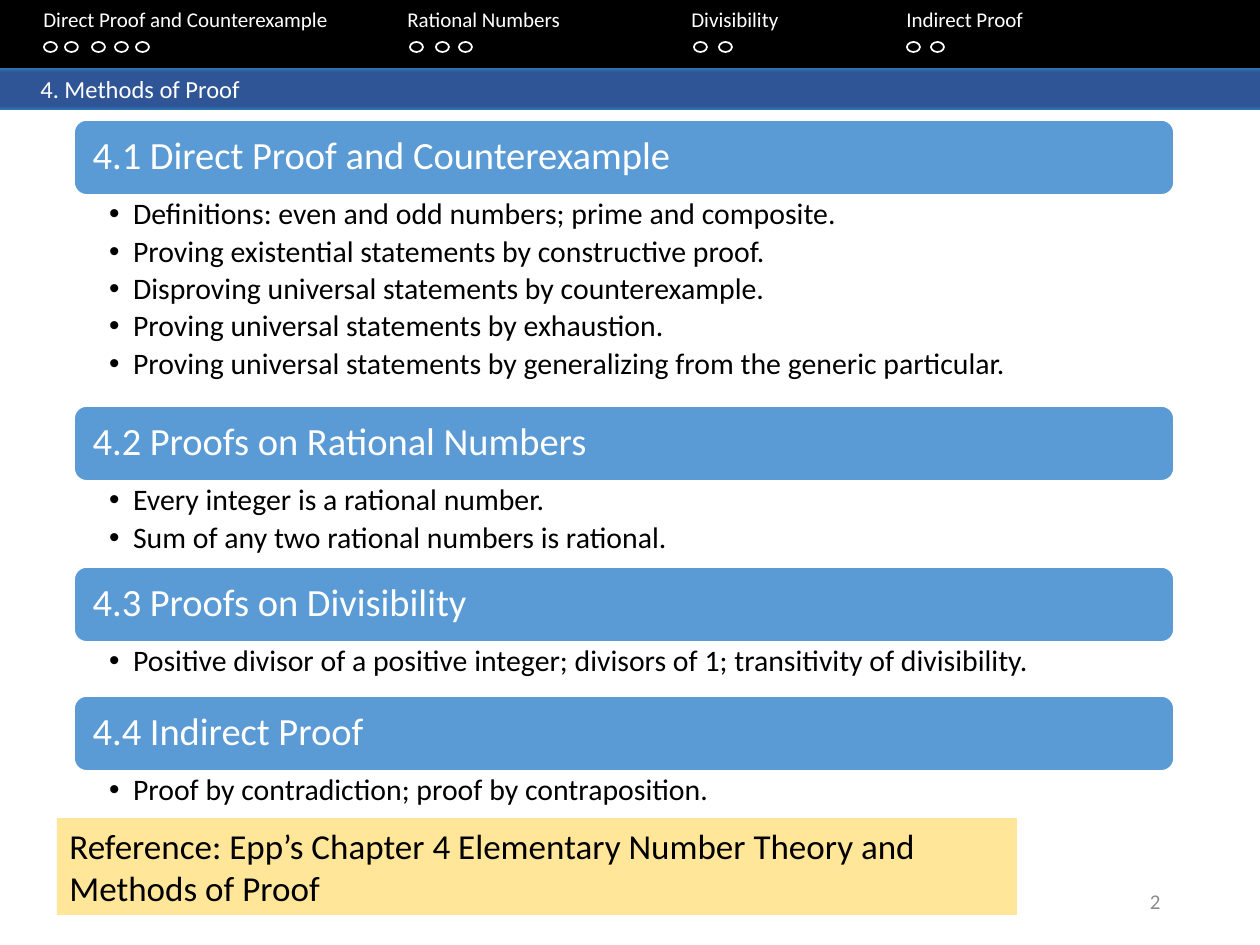
from copy import deepcopy
from dataclasses import dataclass
from typing import Optional

from lxml.etree import SubElement
from pptx import Presentation
from pptx.dml.color import RGBColor
from pptx.enum.shapes import MSO_SHAPE
from pptx.enum.text import MSO_ANCHOR, MSO_AUTO_SIZE, PP_ALIGN
from pptx.oxml.ns import qn
from pptx.util import Emu, Pt

EMU_PER_INCH = 914400
PX_PER_INCH = 126

BLACK = RGBColor(0x00, 0x00, 0x00)
WHITE = RGBColor(0xFF, 0xFF, 0xFF)
GRAY = RGBColor(0x8C, 0x8C, 0x8C)
HEADING_BLUE = RGBColor(0x5B, 0x9B, 0xD5)
EDGE_BLUE = RGBColor(0x2E, 0x75, 0xB6)
CORE_BLUE = RGBColor(0x2F, 0x55, 0x97)
REFERENCE_YELLOW = RGBColor(0xFF, 0xE6, 0x99)

FONT = "Calibri"
SLIDE_WIDTH, SLIDE_HEIGHT = 1260, 945
HEADING_HEIGHT = 75


@dataclass(frozen=True)
class Box:
    left: int
    top: int
    width: int
    height: int


@dataclass(frozen=True)
class Topic:
    label: str
    tab: int
    dots: tuple[int, ...]


@dataclass(frozen=True)
class Section:
    heading: str
    points: tuple[str, ...]
    points_height: int


TOPICS = (
    Topic("Direct Proof and Counterexample", 31, (44, 65, 92, 115, 136)),
    Topic("Rational Numbers", 395, (410, 436, 459)),
    Topic("Divisibility", 679, (694, 719)),
    Topic("Indirect Proof", 894, (907, 931)),
)

SECTIONS = (
    Section("4.1 Direct Proof and Counterexample", (
        "Definitions: even and odd numbers; prime and composite.",
        "Proving existential statements by constructive proof.",
        "Disproving universal statements by counterexample.",
        "Proving universal statements by exhaustion.",
        "Proving universal statements by generalizing from the generic particular.",
    ), 211),
    Section("4.2 Proofs on Rational Numbers", (
        "Every integer is a rational number.",
        "Sum of any two rational numbers is rational.",
    ), 86),
    Section("4.3 Proofs on Divisibility", (
        "Positive divisor of a positive integer; divisors of 1; transitivity of divisibility.",
    ), 54),
    Section("4.4 Indirect Proof", (
        "Proof by contradiction; proof by contraposition.",
    ), 53),
)


def emu(px: int) -> Emu:
    return Emu(px * EMU_PER_INCH // PX_PER_INCH)


def place(box: Box) -> tuple[Emu, Emu, Emu, Emu]:
    return emu(box.left), emu(box.top), emu(box.width), emu(box.height)


def add_panel(slide, kind: MSO_SHAPE, box: Box, fill: Optional[RGBColor] = None,
              line: Optional[RGBColor] = None):
    panel = slide.shapes.add_shape(kind, *place(box))
    panel.shadow.inherit = False
    if fill is None:
        panel.fill.background()
    else:
        panel.fill.solid()
        panel.fill.fore_color.rgb = fill
    if line is None:
        panel.line.fill.background()
    else:
        panel.line.color.rgb = line
        panel.line.width = Pt(1)
    return panel


def write(shape, text: str, size: int, color: RGBColor,
          anchor: MSO_ANCHOR = MSO_ANCHOR.TOP, align: PP_ALIGN = PP_ALIGN.LEFT):
    frame = shape.text_frame
    frame.text = text
    frame.word_wrap = True
    frame.vertical_anchor = anchor
    for paragraph in frame.paragraphs:
        paragraph.alignment = align
        for run in paragraph.runs:
            run.font.name = FONT
            run.font.size = Pt(size)
            run.font.color.rgb = color
    return frame


def set_tabs(paragraph, tabs: list[int]) -> None:
    tab_list = SubElement(paragraph._p.get_or_add_pPr(), qn("a:tabLst"))
    for tab in tabs:
        SubElement(tab_list, qn("a:tab"), pos=str(emu(tab)), algn="l")


def add_bullet(paragraph, indent: int) -> None:
    properties = paragraph._p.get_or_add_pPr()
    properties.set("marL", str(emu(indent)))
    properties.set("indent", str(-emu(indent)))
    SubElement(properties, qn("a:buFont"), typeface="Arial")
    SubElement(properties, qn("a:buChar"), char="•")


def add_chapter_bar(slide) -> None:
    bar = add_panel(slide, MSO_SHAPE.RECTANGLE, Box(0, 68, SLIDE_WIDTH, 42))
    bar.fill.gradient()
    bar.fill.gradient_angle = 270
    stop_list = bar._element.spPr.find(".//" + qn("a:gsLst"))
    stop_list.extend([deepcopy(stop) for stop in stop_list])
    colors = ((0, EDGE_BLUE), (0.11, CORE_BLUE), (0.91, CORE_BLUE), (1, EDGE_BLUE))
    for stop, (position, color) in zip(bar.fill.gradient_stops, colors):
        stop.position = position
        stop.color.rgb = color
    frame = write(bar, "\t4. Methods of Proof", 14, WHITE)
    set_tabs(frame.paragraphs[0], [28])


def add_navigation(slide) -> None:
    add_panel(slide, MSO_SHAPE.RECTANGLE, Box(0, -2, SLIDE_WIDTH, 70), BLACK)
    labels = slide.shapes.add_textbox(*place(Box(0, 0, SLIDE_WIDTH, 63)))
    text = "".join("\t" + topic.label for topic in TOPICS)
    frame = write(labels, text, 12, WHITE)
    set_tabs(frame.paragraphs[0], [topic.tab for topic in TOPICS])
    for topic in TOPICS:
        for left in topic.dots:
            add_panel(slide, MSO_SHAPE.OVAL, Box(left, 42, 13, 10), line=WHITE)


def add_section(slide, section: Section, top: int) -> None:
    left, width = 74, 1100
    heading = add_panel(slide, MSO_SHAPE.ROUNDED_RECTANGLE,
                        Box(left, top, width, HEADING_HEIGHT), HEADING_BLUE, WHITE)
    heading_frame = write(heading, section.heading, 22, WHITE, MSO_ANCHOR.MIDDLE)
    heading_frame.margin_left = emu(15)
    heading_frame.paragraphs[0].line_spacing = 0.9

    points = slide.shapes.add_textbox(
        *place(Box(left, top + HEADING_HEIGHT, width, section.points_height)))
    frame = write(points, "\n".join(section.points), 17, BLACK)
    frame.margin_left, frame.margin_right = emu(35), emu(21)
    frame.margin_top = frame.margin_bottom = emu(4)
    for paragraph in frame.paragraphs:
        paragraph.level = 1
        paragraph.line_spacing = 0.9
        paragraph.space_after = Pt(3)
        add_bullet(paragraph, 24)


def main() -> None:
    deck = Presentation()
    deck.slide_width, deck.slide_height = emu(SLIDE_WIDTH), emu(SLIDE_HEIGHT)
    slide = deck.slides.add_slide(deck.slide_layouts[6])

    page_number = slide.shapes.add_textbox(*place(Box(890, 876, 283, 50)))
    write(page_number, "2", 12, GRAY, MSO_ANCHOR.MIDDLE, PP_ALIGN.RIGHT)
    add_chapter_bar(slide)

    top = 120
    for section in SECTIONS:
        add_section(slide, section, top)
        top += HEADING_HEIGHT + section.points_height

    add_navigation(slide)
    reference = add_panel(slide, MSO_SHAPE.RECTANGLE, Box(57, 818, 960, 97), REFERENCE_YELLOW)
    frame = write(reference, "Reference: Epp’s Chapter 4 Elementary Number Theory and Methods of Proof",
                  20, BLACK)
    frame.auto_size = MSO_AUTO_SIZE.SHAPE_TO_FIT_TEXT
    deck.save("out.pptx")


if __name__ == "__main__":
    main()
